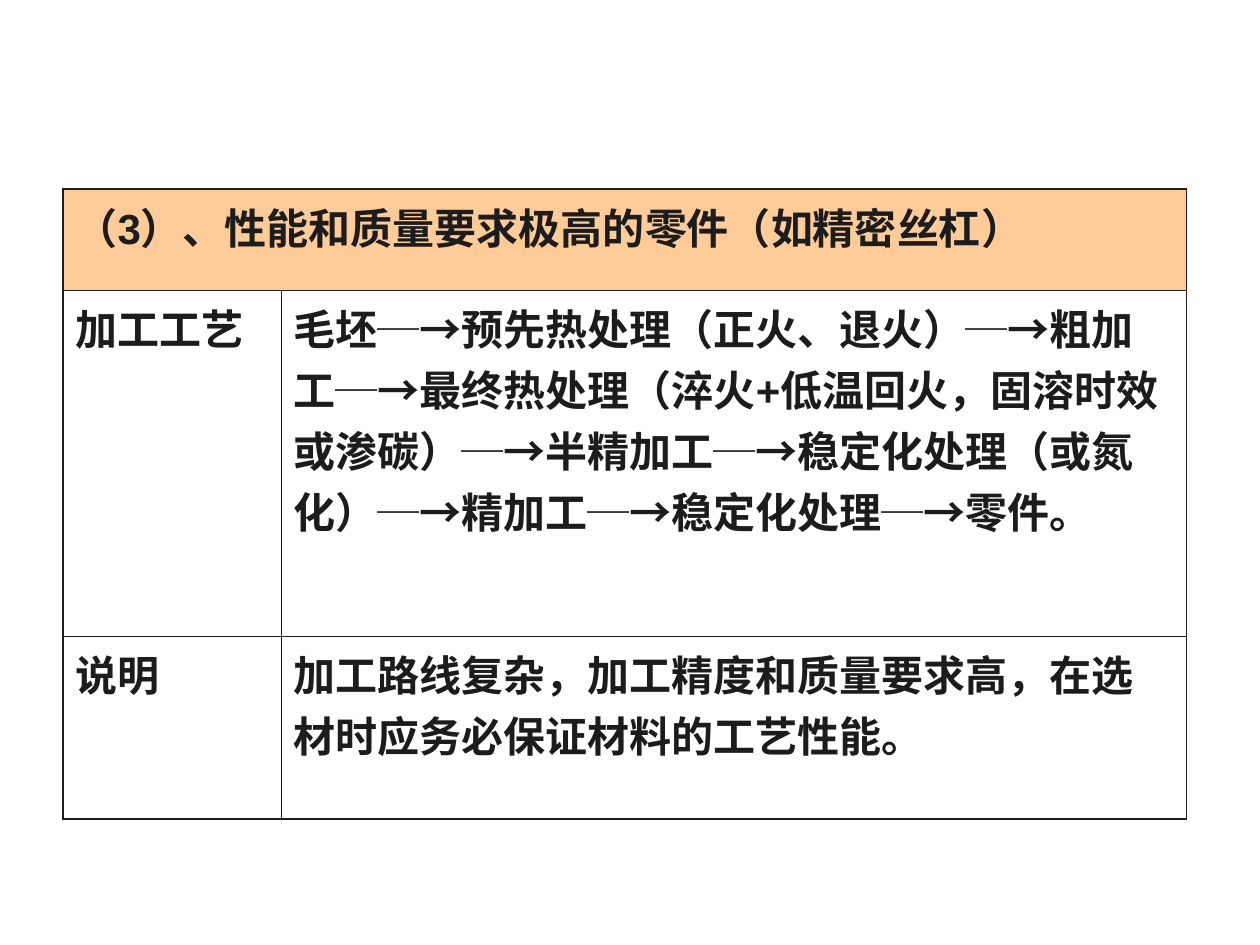
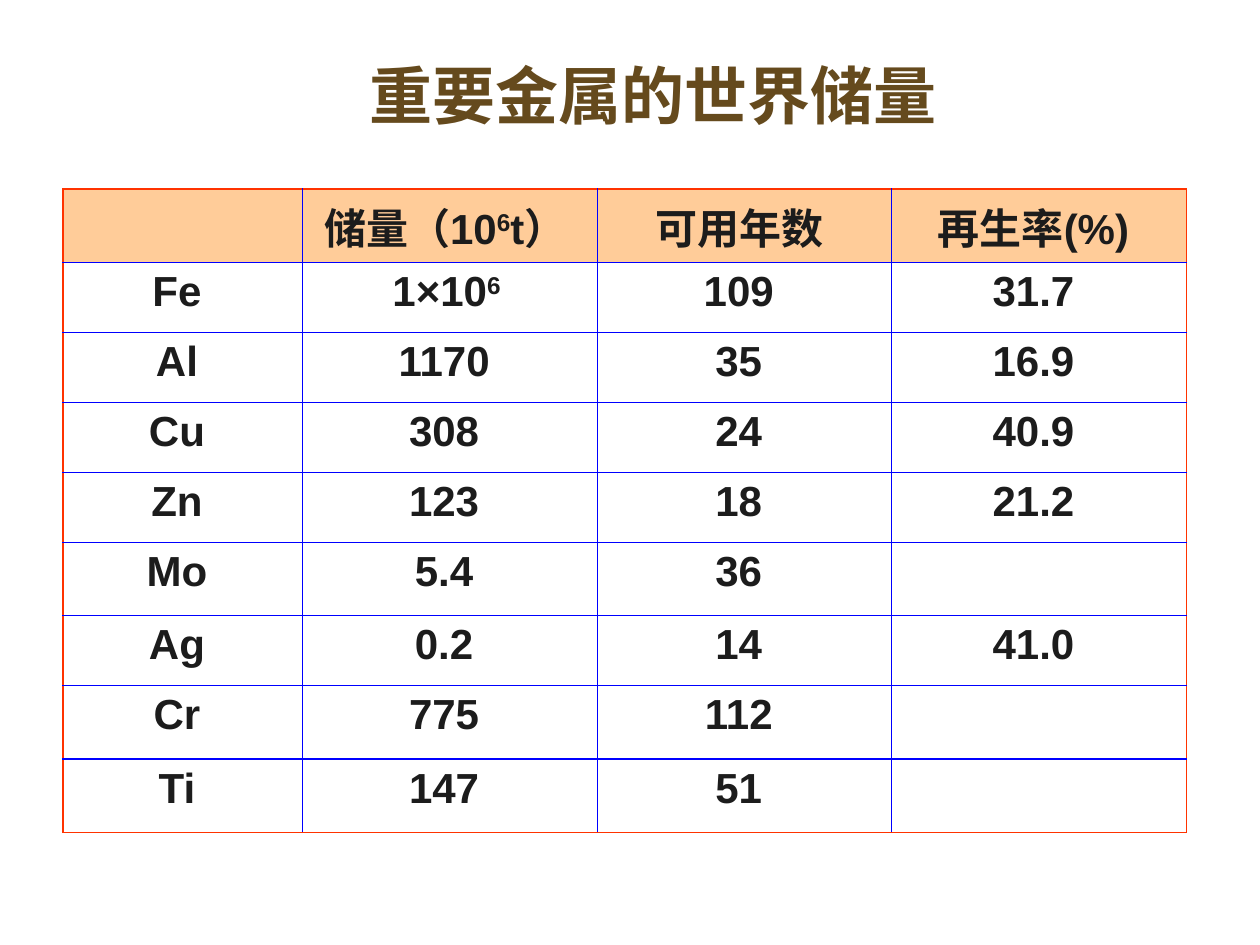
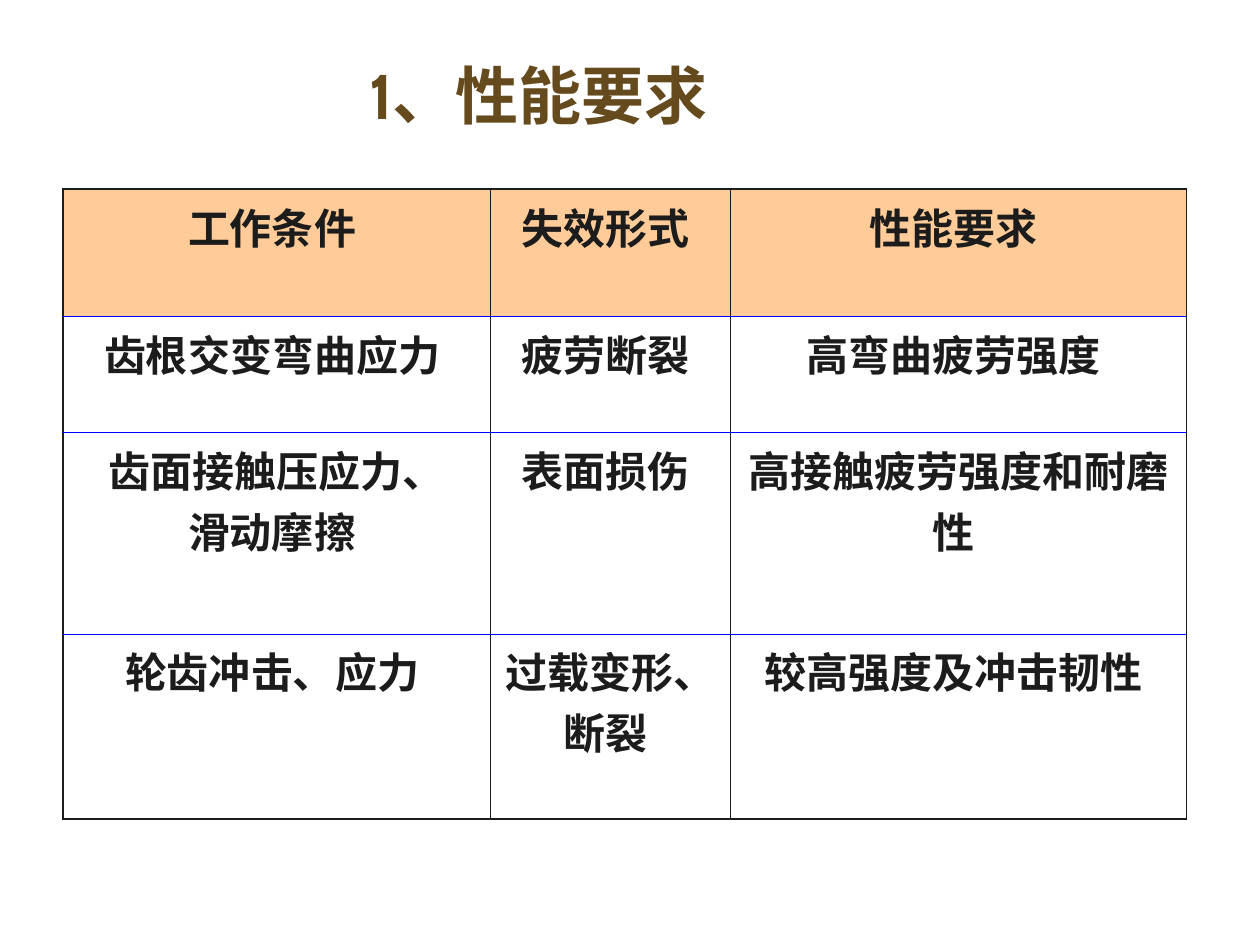
import pptx
import pptx.util
import pptx.dml.color
import pptx.enum.text
import pptx.oxml
import pptx.oxml.ns

Cm = pptx.util.Cm
Pt = pptx.util.Pt
Align = pptx.enum.text.PP_ALIGN
hues = {"ink": "1C1C1C", "title": "654A1D", "head": "FFCC99", "blue": "0000FF", "red": "FF3300"}
looks = {
    "title": {"name": "Cabin", "size": Pt(36), "bold": True, "hue": "title"},
    "cell": {"name": "Arial", "size": Pt(24), "bold": True, "hue": "ink"},
}


def write(frame, text, look, align):
    for num, line in enumerate(text.split("\n")):
        para = frame.add_paragraph() if num else frame.paragraphs[0]
        para.alignment = align
        for part, words in enumerate(line.split("^")):
            run = para.add_run()
            run.text = words
            for key, value in looks[look].items():
                if key == "hue":
                    run.font.color.rgb = pptx.dml.color.RGBColor.from_string(hues[value])
                else:
                    setattr(run.font, key, value)
            if part % 2:
                run.font._element.set("baseline", "30000")


def edge(cell, side, hue, width):
    cell._tc.get_or_add_tcPr().append(pptx.oxml.parse_xml(
        f'<a:ln{side} {pptx.oxml.ns.nsdecls("a")} w="{Pt(width)}">'
        f'<a:solidFill><a:srgbClr val="{hues[hue]}"/></a:solidFill></a:ln{side}>'))


stocks = [
    ["", "储量（10^6^t） ", "可用年数 ", "再生率(%) "],
    ["Fe ", "1×10^6 ", "109 ", "31.7 "],
    ["Al ", "1170 ", "35 ", "16.9 "],
    ["Cu ", "308 ", "24 ", "40.9 "],
    ["Zn ", "123 ", "18 ", "21.2 "],
    ["Mo ", "5.4 ", "36 ", ""],
    ["Ag ", "0.2 ", "14 ", "41.0 "],
    ["Cr ", "775 ", "112 ", ""],
    ["Ti ", "147 ", "51 ", ""],
]
pages = [
    {
        "title": "",
        "align": Align.LEFT,
        "cols": [4.4, 18.25],
        "rows": [2.05, 6.97, 3.68],
        "rim": ("ink", 1.08), "down": ("ink", 0.45), "flat": ("ink", 0.45),
        "cells": [
            ["（3）、性能和质量要求极高的零件（如精密丝杠）", ""],
            ["加工工艺", "毛坯─→预先热处理（正火、退火）─→粗加工─→最终热处理（淬火+低温回火，固溶时效或渗碳）─→半精加工─→稳定化处理（或氮化）─→精加工─→稳定化处理─→零件。"],
            ["说明", "加工路线复杂，加工精度和质量要求高，在选材时应务必保证材料的工艺性能。"],
        ],
    },
    {
        "title": "重要金属的世界储量",
        "align": Align.CENTER,
        "cols": [4.83, 5.94, 5.94, 5.94],
        "rows": [1.48 if "" in row else 1.41 for row in stocks],
        "rim": ("red", 1.08), "down": ("blue", 0.75), "flat": ("blue", 0.75),
        "cells": stocks,
    },
    {
        "title": "1、性能要求",
        "align": Align.CENTER,
        "cols": [8.62, 4.83, 9.2],
        "rows": [2.56, 2.34, 4.07, 3.73],
        "rim": ("ink", 1.08), "down": ("ink", 0.45), "flat": ("blue", 0.45),
        "cells": [
            ["工作条件 ", "失效形式 ", "性能要求 "],
            ["齿根交变弯曲应力 ", "疲劳断裂 ", "高弯曲疲劳强度 "],
            ["齿面接触压应力、\n滑动摩擦 ", "表面损伤 ", "高接触疲劳强度和耐磨性 "],
            ["轮齿冲击、应力 ", "过载变形、断裂 ", "较高强度及冲击韧性 "],
        ],
    },
]

deck = pptx.Presentation()
deck.slide_width = Cm(25.4)
deck.slide_height = Cm(19.05)

for page in pages:
    slide = deck.slides.add_slide(deck.slide_layouts[6])
    if page["title"]:
        frame = slide.shapes.add_textbox(Cm(7.2), Cm(0.25), Cm(16.7), Cm(3.3)).text_frame
        frame.word_wrap = True
        frame.vertical_anchor = pptx.enum.text.MSO_ANCHOR.MIDDLE
        write(frame, page["title"], "title", Align.LEFT)

    cols, rows, cells = page["cols"], page["rows"], page["cells"]
    grid = slide.shapes.add_table(len(rows), len(cols), Cm(1.27), Cm(3.81),
                                  Cm(sum(cols)), Cm(sum(rows))).table
    grid.first_row = grid.horz_banding = False
    for col, width in zip(grid.columns, cols):
        col.width = Cm(width)
    for row, height in zip(grid.rows, rows):
        row.height = Cm(height)
    if not page["title"]:
        grid.cell(0, 0).merge(grid.cell(0, 1))

    for r, row in enumerate(cells):
        for c, text in enumerate(row):
            cell = grid.cell(r, c)
            last = c + cell.span_width == len(cols)
            edge(cell, "L", *page["down" if c else "rim"])
            edge(cell, "R", *page["rim" if last else "down"])
            edge(cell, "T", *page["flat" if r else "rim"])
            edge(cell, "B", *page["rim" if r == len(rows) - 1 else "flat"])
            if r:
                cell.fill.background()
            else:
                cell.fill.solid()
                cell.fill.fore_color.rgb = pptx.dml.color.RGBColor.from_string(hues["head"])
            if text:
                write(cell.text_frame, text, "cell", page["align"])

deck.save("out.pptx")
